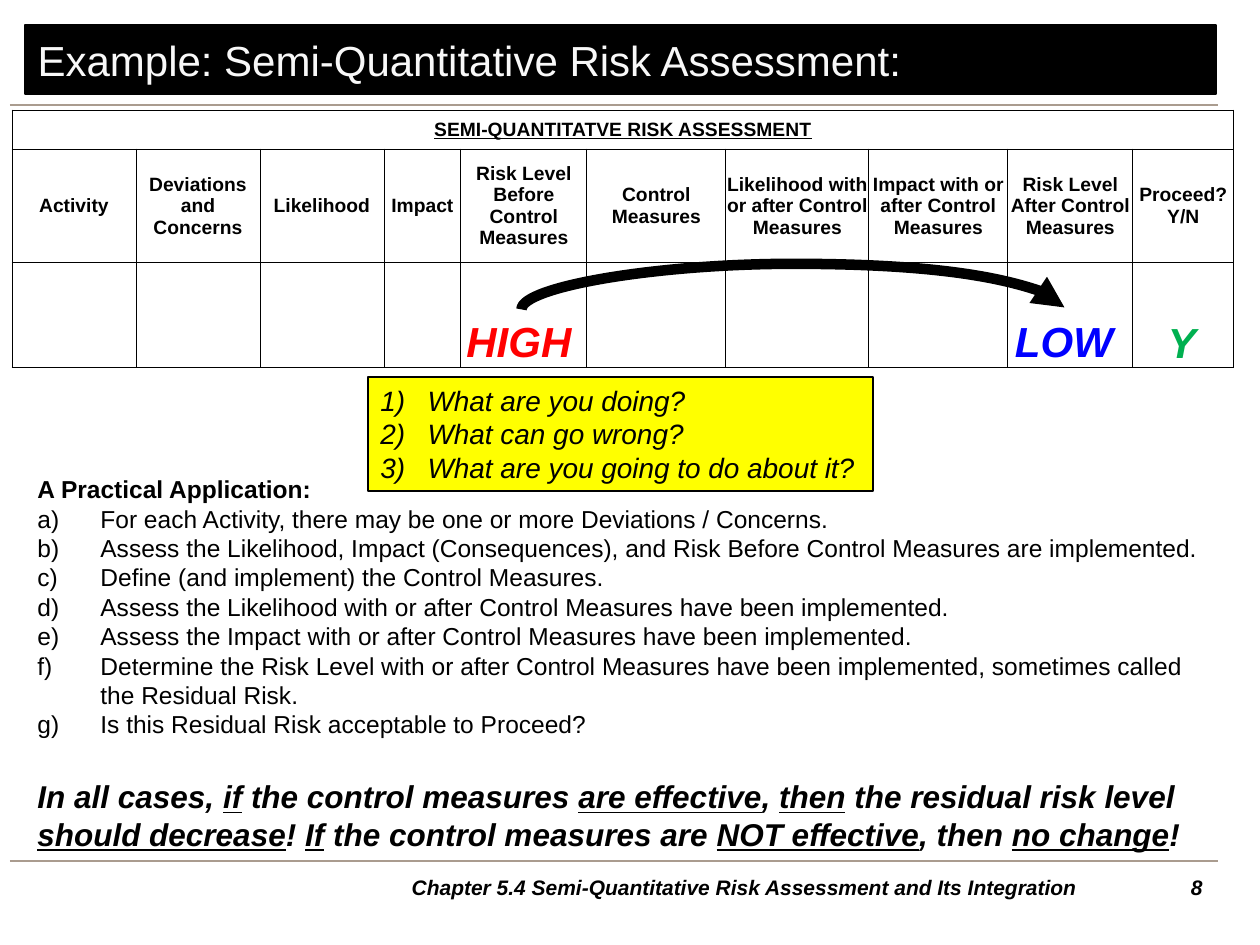
from pptx import Presentation
from pptx.dml.color import RGBColor
from pptx.enum.shapes import MSO_CONNECTOR as CONN, MSO_SHAPE as SHAPE
from pptx.enum.text import MSO_ANCHOR as ANCHOR, MSO_AUTO_SIZE as AUTO, PP_ALIGN as ALIGN
from pptx.oxml import parse_xml
from pptx.oxml.ns import nsdecls, qn
from pptx.util import Emu, Pt

PX = 914400 / 126


def box(*lengths):
    return [Emu(round(n * PX)) for n in lengths]


def add_run(p, text, size, color="000000", bold=False, italic=False, underline=False):
    r = p.add_run()
    r.text = text
    f = r.font
    f.name, f.size = "Arial", Pt(size)
    f.bold, f.italic, f.underline = bold, italic, underline
    f.color.rgb = RGBColor.from_string(color)


prs = Presentation()
prs.slide_width, prs.slide_height = box(1260, 945)
s = prs.slides.add_slide(prs.slide_layouts[5])

for y in (105, 861):
    c = s.shapes.add_connector(CONN.STRAIGHT, *box(10, y, 1218, y))
    c.line.color.rgb = RGBColor.from_string("AA9C8F")
    c.line.width = Pt(0.75)
    c._element.spPr.append(parse_xml(f"<a:effectLst {nsdecls('a')}/>"))

title = s.shapes.title
title.left, title.top, title.width, title.height = box(25, 25, 1191, 69)
title.fill.solid()
title.fill.fore_color.rgb = RGBColor.from_string("000000")
title.line.color.rgb = RGBColor.from_string("000000")
title.line.width = Pt(0.75)
tf = title.text_frame
tf.auto_size, tf.vertical_anchor = AUTO.NONE, ANCHOR.MIDDLE
p = tf.paragraphs[0]
p.alignment = ALIGN.LEFT
add_run(p, "Example: Semi-Quantitative Risk Assessment:", 24, "F8F8F8")

steps = [
    "For each Activity, there may be one or more Deviations / Concerns.",
    "Assess the Likelihood, Impact (Consequences), and Risk Before Control Measures are implemented.",
    "Define (and implement) the Control Measures.",
    "Assess the Likelihood with or after Control Measures have been implemented.",
    "Assess the Impact with or after Control Measures have been implemented.",
    "Determine the Risk Level with or after Control Measures have been implemented, "
    "sometimes called the Residual Risk.",
    "Is this Residual Risk acceptable to Proceed?",
]
conclusion = [
    "In all cases, ", "if", " the control measures ", "are effective", ", ", "then",
    " the residual risk level ", "should decrease", "! ", "If", " the control measures are ",
    "NOT effective", ", then ", "no change", "!",
]
questions = ["What are you doing?", "What can go wrong?", "What are you going to do about it?"]

tf = s.shapes.add_textbox(*box(25, 468, 1191, 390)).text_frame
tf.word_wrap = True
add_run(tf.paragraphs[0], "A Practical Application:", 14, bold=True)
for step in steps:
    p = tf.add_paragraph()
    pPr = p._p.get_or_add_pPr()
    pPr.set("marL", "457200")
    pPr.set("indent", "-457200")
    pPr.append(parse_xml(f'<a:buAutoNum {nsdecls("a")} type="alphaLcParenR"/>'))
    add_run(p, step, 14)
p = tf.add_paragraph()
p.space_before = Pt(22)
for i, text in enumerate(conclusion):
    add_run(p, text, 18, bold=True, italic=True, underline=i % 2 == 1)

headers = [
    "Activity", "Deviations and Concerns", "Likelihood", "Impact",
    "Risk Level Before Control Measures", "Control Measures",
    "Likelihood with or after Control Measures", "Impact with or after Control Measures",
    "Risk Level After Control Measures", "Proceed? Y/N",
]
widths = [124, 124, 124, 77, 126, 139, 143, 139, 125, 101]
heights = [39, 113, 106]
table = s.shapes.add_table(3, 10, *box(12, 110, sum(widths), sum(heights))).table
for col, width in zip(table.columns, box(*widths)):
    col.width = width
for row, height in zip(table.rows, box(*heights)):
    row.height = height
for cell in table.iter_cells():
    tcPr = cell._tc.get_or_add_tcPr()
    for side in ("lnL", "lnR", "lnT", "lnB"):
        tcPr.append(parse_xml(
            f'<a:{side} {nsdecls("a")} w="6350"><a:solidFill><a:srgbClr val="000000"/>'
            f"</a:solidFill></a:{side}>"))
    cell.fill.solid()
    cell.fill.fore_color.rgb = RGBColor.from_string("FFFFFF")
    cell.vertical_anchor = ANCHOR.MIDDLE
    cell.margin_left, cell.margin_right, cell.margin_top, cell.margin_bottom = box(1, 1, 1, 0)
table.cell(0, 0).merge(table.cell(0, 9))
labels = [(0, 0, "SEMI-QUANTITATVE RISK ASSESSMENT")]
labels += [(1, i, text) for i, text in enumerate(headers)]
for row, col, text in labels:
    p = table.cell(row, col).text_frame.paragraphs[0]
    p.alignment = ALIGN.CENTER
    add_run(p, text, 11, bold=True, underline=row == 0)

footer = "Chapter 5.4 Semi-Quantitative Risk Assessment and Its Integration"
for text, place, align, size, color in [
    ("HIGH", (454, 309, 134, 64), ALIGN.LEFT, 24, "FF0000"),
    ("LOW", (997, 309, 134, 64), ALIGN.CENTER, 24, "0000FF"),
    ("Y", (1155, 310, 54, 63), ALIGN.CENTER, 24, "00B050"),
    (footer, (372, 868, 745, 39), ALIGN.CENTER, 12, "000000"),
    ("8", (1142, 868, 73, 39), ALIGN.RIGHT, 12, "000000"),
]:
    tf = s.shapes.add_textbox(*box(*place)).text_frame
    tf.word_wrap = True
    if text == footer:
        tf.vertical_anchor = ANCHOR.MIDDLE
    p = tf.paragraphs[0]
    p.alignment = align
    add_run(p, text, size, color, bold=True, italic=True)

arrow = s.shapes.add_connector(CONN.CURVE, *box(794, 580, 792, 37))
spPr = arrow._element.spPr
spPr.find(qn("a:xfrm")).set("rot", "5400000")
spPr.find(qn("a:prstGeom")).find(qn("a:avLst")).append(
    parse_xml(f'<a:gd {nsdecls("a")} name="adj1" fmla="val 2300000"/>'))
arrow.line.color.rgb = RGBColor.from_string("000000")
arrow.line.width = Pt(6)
arrow.line._get_or_add_ln().append(parse_xml(f'<a:tailEnd {nsdecls("a")} type="triangle"/>'))
spPr.append(parse_xml(f"<a:effectLst {nsdecls('a')}/>"))

sp = s.shapes.add_shape(SHAPE.RECTANGLE, *box(368, 377, 505, 114))
sp.shadow.inherit = False
sp.fill.solid()
sp.fill.fore_color.rgb = RGBColor.from_string("FFFF00")
sp.line.color.rgb = RGBColor.from_string("000000")
sp.line.width = Pt(0.75)
tf = sp.text_frame
tf.word_wrap, tf.vertical_anchor = True, ANCHOR.TOP
for i, question in enumerate(questions):
    p = tf.add_paragraph() if i else tf.paragraphs[0]
    p.alignment = ALIGN.LEFT
    pPr = p._p.get_or_add_pPr()
    pPr.set("marL", "342900")
    pPr.set("indent", "-342900")
    pPr.append(parse_xml(f'<a:buAutoNum {nsdecls("a")} type="arabicParenR"/>'))
    add_run(p, question, 16, italic=True)

prs.save("out.pptx")
